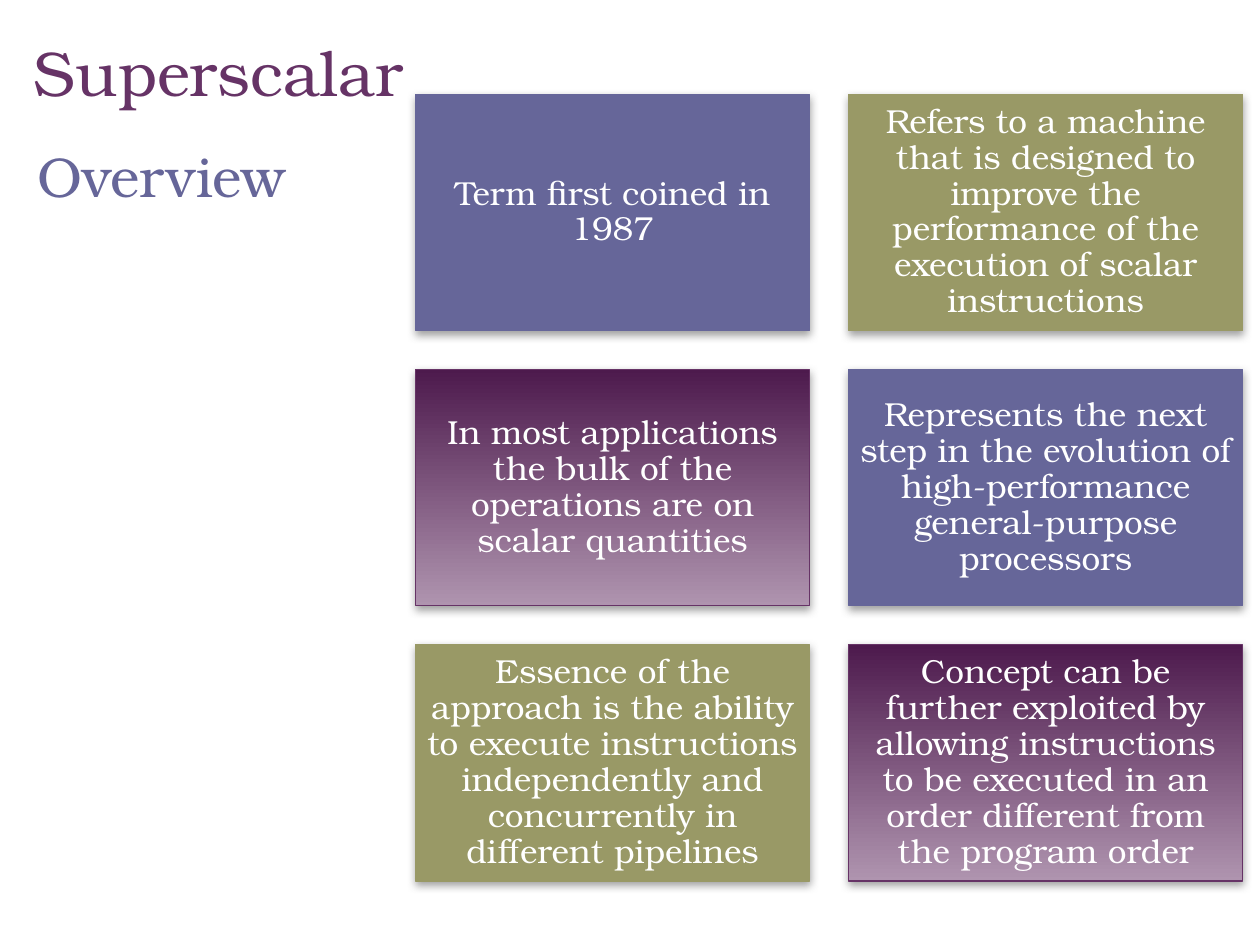
"""Build the Superscalar overview slide: two headings and a grid of six cards."""
from dataclasses import dataclass

from lxml import etree
from pptx import Presentation
from pptx.dml.color import RGBColor
from pptx.enum.shapes import MSO_SHAPE
from pptx.enum.text import MSO_ANCHOR, PP_ALIGN
from pptx.oxml.ns import qn
from pptx.util import Cm, Pt

RECTANGLE = MSO_SHAPE.RECTANGLE
TOP, MIDDLE, BOTTOM = MSO_ANCHOR.TOP, MSO_ANCHOR.MIDDLE, MSO_ANCHOR.BOTTOM
LEFT, CENTER = PP_ALIGN.LEFT, PP_ALIGN.CENTER


@dataclass(frozen=True)
class Theme:
    font: str = "TeX Gyre Bonum"
    plum: str = "663366"
    plum_dark: str = "4D1A4D"
    plum_light: str = "AF94AF"
    blue: str = "666699"
    olive: str = "999966"
    white: str = "FFFFFF"
    shadow: str = "808080"
    title_size: int = 36
    subtitle_size: int = 32
    card_size: int = 19


theme = Theme()


def write_text(shape, text, size, color, anchor, alignment):
    text_frame = shape.text_frame
    text_frame.text = text
    text_frame.word_wrap = True
    text_frame.vertical_anchor = anchor
    paragraph = text_frame.paragraphs[0]
    paragraph.alignment = alignment
    font = paragraph.runs[0].font
    font.name = theme.font
    font.size = Pt(size)
    font.color.rgb = RGBColor.from_string(color)
    return text_frame


def add_shadow(shape):
    shape.shadow.inherit = False
    effects = shape._element.spPr.find(qn("a:effectLst"))
    shadow = etree.SubElement(
        effects, qn("a:outerShdw"), blurRad=str(Pt(5)), dist=str(Pt(2)),
        dir="5400000", algn="ctr", rotWithShape="0")
    color = etree.SubElement(shadow, qn("a:srgbClr"), val=theme.shadow)
    etree.SubElement(color, qn("a:alpha"), val="75000")


presentation = Presentation()
presentation.slide_width = Cm(25.4)
presentation.slide_height = Cm(19.05)
slide = presentation.slides.add_slide(presentation.slide_layouts[6])

title = slide.shapes.add_textbox(Cm(0.43), Cm(0.43), Cm(20.98), Cm(1.9))
write_text(title, "Superscalar", theme.title_size, theme.plum, BOTTOM, LEFT)

cards = [
    ("Term first coined in 1987", theme.blue),
    ("Refers to a machine that is designed to improve the performance "
     "of the execution of scalar instructions", theme.olive),
    ("In most applications the bulk of the operations are on scalar "
     "quantities", theme.plum),
    ("Represents the next step in the evolution of high-performance "
     "general-purpose processors", theme.blue),
    ("Essence of the approach is the ability to execute instructions "
     "independently and concurrently in different pipelines", theme.olive),
    ("Concept can be further exploited by allowing instructions to be "
     "executed in an order different from the program order", theme.plum),
]
card_width, card_height, gap = 7.94, 4.76, 0.79
grid_left, grid_top = 8.38, 1.9

for index, (text, color) in enumerate(cards):
    row, column = divmod(index, 2)
    card = slide.shapes.add_shape(
        RECTANGLE,
        Cm(grid_left + column * (card_width + gap)),
        Cm(grid_top + row * (card_height + gap)),
        Cm(card_width), Cm(card_height))
    if color == theme.plum:
        card.fill.gradient()
        card.fill.gradient_angle = 270
        for stop, shade in zip(card.fill.gradient_stops,
                               (theme.plum_dark, theme.plum_light)):
            stop.color.rgb = RGBColor.from_string(shade)
    else:
        card.fill.solid()
        card.fill.fore_color.rgb = RGBColor.from_string(color)
    card.line.color.rgb = RGBColor.from_string(color)
    card.line.width = Pt(0.75)
    add_shadow(card)
    text_frame = write_text(card, text, theme.card_size, theme.white, MIDDLE, CENTER)
    text_frame.margin_left = text_frame.margin_right = Cm(0.2)
    text_frame.margin_top = text_frame.margin_bottom = Cm(0.2)
    text_frame.paragraphs[0].line_spacing = 0.9

subtitle = slide.shapes.add_textbox(Cm(0.51), Cm(2.72), Cm(8.38), Cm(1.6))
write_text(subtitle, "Overview", theme.subtitle_size, theme.blue, TOP, LEFT)

presentation.save("out.pptx")
